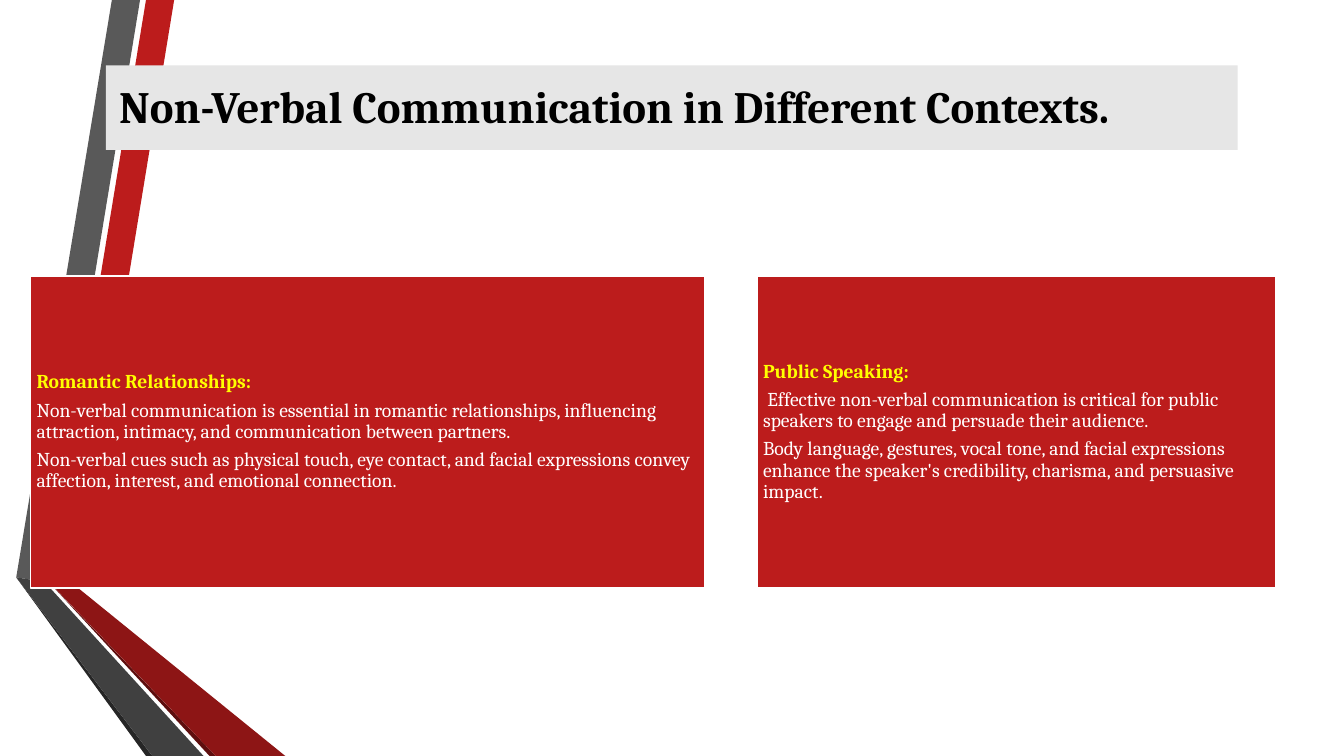
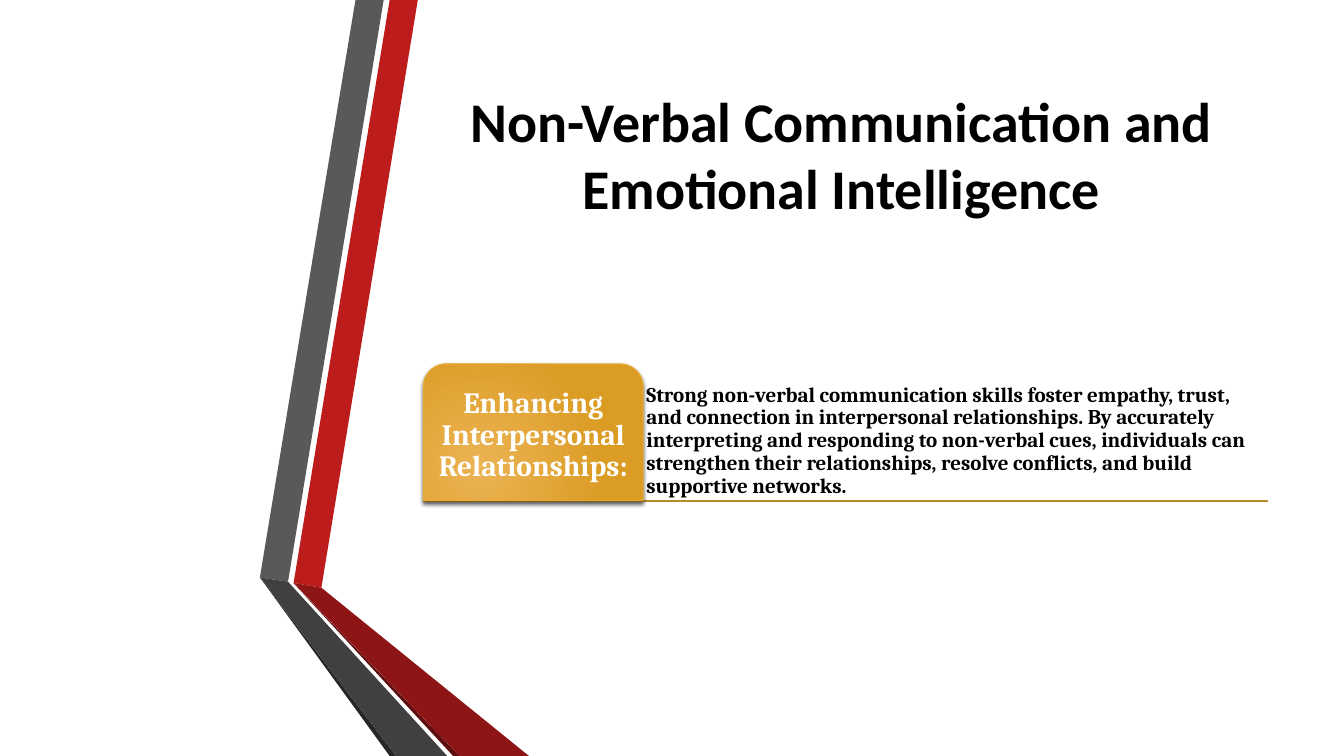
from pptx import Presentation
from pptx.dml.color import RGBColor
from pptx.enum.shapes import MSO_CONNECTOR, MSO_SHAPE
from pptx.enum.text import MSO_ANCHOR, MSO_AUTO_SIZE, PP_ALIGN
from pptx.oxml import parse_xml
from pptx.oxml.ns import nsdecls, qn
from pptx.util import Cm, Pt
from lxml.etree import SubElement

WIDE, HIGH = 33.87, 19.05
RED, WHITE, BLACK, YELLOW = "BC1C1C", "FFFFFF", "000000", "FFFF00"
PALE, GOLD, RULE = "E6E6E6", "EAAC35", "BB8A2A"
HEAD, TEXT = "Calibri", "Cambria"

BANDS = [
    (RED, [(1.26, 14.69), (1.96, 14.81), (4.39, 0), (3.68, 0)]),
    ("595959", [(3.53, 0), (2.82, 0), (0.41, 14.55), (1.12, 14.66)]),
    ("262626", [(0.41, 14.55), (3.68, HIGH), (3.84, HIGH)]),
    ("5E0E0E", [(1.26, 14.7), (5.28, HIGH), (5.44, HIGH)]),
    ("8D1515", [(1.26, 14.69), (5.44, HIGH), (7.19, HIGH), (1.96, 14.81)]),
    ("404040", [(0.41, 14.55), (3.84, HIGH), (5.13, HIGH), (1.12, 14.66)]),
]

PANELS = [
    (0.77, 16.99, "Romantic Relationships:", [
        "Non-verbal communication is essential in romantic relationships, "
        "influencing attraction, intimacy, and communication between partners.",
        "Non-verbal cues such as physical touch, eye contact, and facial "
        "expressions convey affection, interest, and emotional connection."]),
    (19.08, 13.08, "Public Speaking:", [
        " Effective non-verbal communication is critical for public speakers "
        "to engage and persuade their audience.",
        "Body language, gestures, vocal tone, and facial expressions enhance "
        "the speaker's credibility, charisma, and persuasive impact."]),
]


def color(code):
    return RGBColor.from_string(code)


def paint(shape, fill, line=None, width=1.25):
    shape.fill.solid()
    shape.fill.fore_color.rgb = color(fill)
    if line:
        shape.line.color.rgb = color(line)
        shape.line.width = Pt(width)
    else:
        shape.line.fill.background()


def place(shape, left, top, width, height):
    shape.left, shape.top = Cm(left), Cm(top)
    shape.width, shape.height = Cm(width), Cm(height)


def setup(shape, inset, anchor=MSO_ANCHOR.MIDDLE):
    """Fix the inner margins and anchor of a shape's text."""
    frame = shape.text_frame
    frame.word_wrap = True
    frame.auto_size = MSO_AUTO_SIZE.NONE
    frame.vertical_anchor = anchor
    frame.margin_left = frame.margin_right = Cm(inset)
    frame.margin_top = frame.margin_bottom = Cm(inset)
    return frame


def write(frame, text, size=14, font=TEXT, ink=BLACK, bold=True,
          align=PP_ALIGN.LEFT, lines=0.9, after=5):
    """Add one unbulleted paragraph, filling the empty first one."""
    para = frame.paragraphs[0] if not frame.text else frame.add_paragraph()
    para.alignment = align
    para.line_spacing = lines
    para.space_before, para.space_after = Pt(0), Pt(after)
    props = para._p.get_or_add_pPr()
    props.set("marL", "0")
    props.set("indent", "0")
    SubElement(props, qn("a:buNone"))
    run = para.add_run()
    run.text = text
    run.font.size, run.font.name, run.font.bold = Pt(size), font, bold
    run.font.color.rgb = color(ink)


def ribbon(slide, shift=0):
    """Draw the folded ribbon behind everything else on the slide."""
    bands = []
    for fill, points in BANDS:
        first, *rest = [(Cm(x + shift), Cm(y)) for x, y in points]
        pen = slide.shapes.build_freeform(*first)
        pen.add_line_segments(rest, close=True)
        band = pen.convert_to_shape()
        band.shadow.inherit = False
        paint(band, fill)
        bands.append(band)
    group = slide.shapes.add_group_shape(bands).element
    group.getparent().insert(2, group)


def title(slide, text, box, inset=0.25, anchor=MSO_ANCHOR.MIDDLE, **look):
    shape = slide.shapes.title
    place(shape, *box)
    write(setup(shape, inset, anchor), text, lines=1, after=0, **look)
    return shape


def panel(shape, left, width, head, items):
    place(shape, left, 6.96, width, 7.85)
    paint(shape, RED, WHITE)
    frame = setup(shape, 0.15)
    write(frame, head, ink=YELLOW)
    for item in items:
        write(frame, item, ink=WHITE, bold=False)


def gild(shape):
    """Give a shape a radial gold fill and a soft shadow below."""
    paint(shape, GOLD, GOLD, 0.75)
    props = shape.element.spPr
    ns = nsdecls("a")
    glow = parse_xml(
        f'<a:gradFill {ns} rotWithShape="1"><a:gsLst>'
        '<a:gs pos="0"><a:srgbClr val="ECB354"/></a:gs>'
        '<a:gs pos="100000"><a:srgbClr val="DB9C24"/></a:gs></a:gsLst>'
        '<a:path path="circle"><a:fillToRect l="50000" t="100000" '
        'r="100000" b="50000"/></a:path></a:gradFill>')
    props.replace(props.find(qn("a:solidFill")), glow)
    shape.shadow.inherit = False
    props.find(qn("a:effectLst")).append(parse_xml(
        f'<a:outerShdw {ns} blurRad="38100" dist="25400" dir="5400000" '
        'rotWithShape="0"><a:srgbClr val="000000"><a:alpha val="64000"/>'
        '</a:srgbClr></a:outerShdw>'))


def rule(slide, left, right, top):
    line = slide.shapes.add_connector(
        MSO_CONNECTOR.STRAIGHT, Cm(left), Cm(top), Cm(right), Cm(top))
    line.line.color.rgb = color(RULE)
    line.line.width = Pt(1.25)
    SubElement(line.element.spPr, qn("a:effectLst"))


def tab(slide, text, left, top, width, height):
    shape = slide.shapes.add_shape(
        MSO_SHAPE.ROUND_2_SAME_RECTANGLE,
        Cm(left), Cm(top), Cm(width), Cm(height))
    shape.adjustments[0] = 0.167
    gild(shape)
    write(setup(shape, 0.1), text, size=21, ink=WHITE,
          align=PP_ALIGN.CENTER, after=0)


def contexts(deck):
    slide = deck.slides.add_slide(deck.slide_layouts.get_by_name("Two Content"))
    ribbon(slide)
    head = title(slide, "Non-Verbal Communication in Different Contexts.",
                 (2.67, 1.65, 28.52, 2.13), inset=0.33,
                 anchor=MSO_ANCHOR.TOP, size=32)
    paint(head, PALE)
    for index, data in enumerate(PANELS, 1):
        panel(slide.placeholders[index], *data)


def feelings(deck):
    slide = deck.slides.add_slide(
        deck.slide_layouts.get_by_name("Title and Content"))
    ribbon(slide, 6.14)
    title(slide, "Non-Verbal Communication and Emotional Intelligence",
          (11, 1.9, 20.4, 3.94), size=40, font=HEAD, align=PP_ALIGN.CENTER)
    left, top, width, height, span = 10.67, 9.17, 5.54, 3.45, 15.75
    middle = left + width
    body = slide.placeholders[1]
    place(body, middle, top, span, height)
    write(setup(body, 0.08, MSO_ANCHOR.BOTTOM),
          "Strong non-verbal communication skills foster empathy, trust, and "
          "connection in interpersonal relationships. By accurately "
          "interpreting and responding to non-verbal cues, individuals can "
          "strengthen their relationships, resolve conflicts, and build "
          "supportive networks.", size=15, after=0)
    rule(slide, left, middle + span, top + height)
    tab(slide, "Enhancing Interpersonal Relationships:",
        left, top, width, height)


def main():
    deck = Presentation()
    deck.slide_width, deck.slide_height = Cm(WIDE), Cm(HIGH)
    contexts(deck)
    feelings(deck)
    deck.save("out.pptx")


if __name__ == "__main__":
    main()
